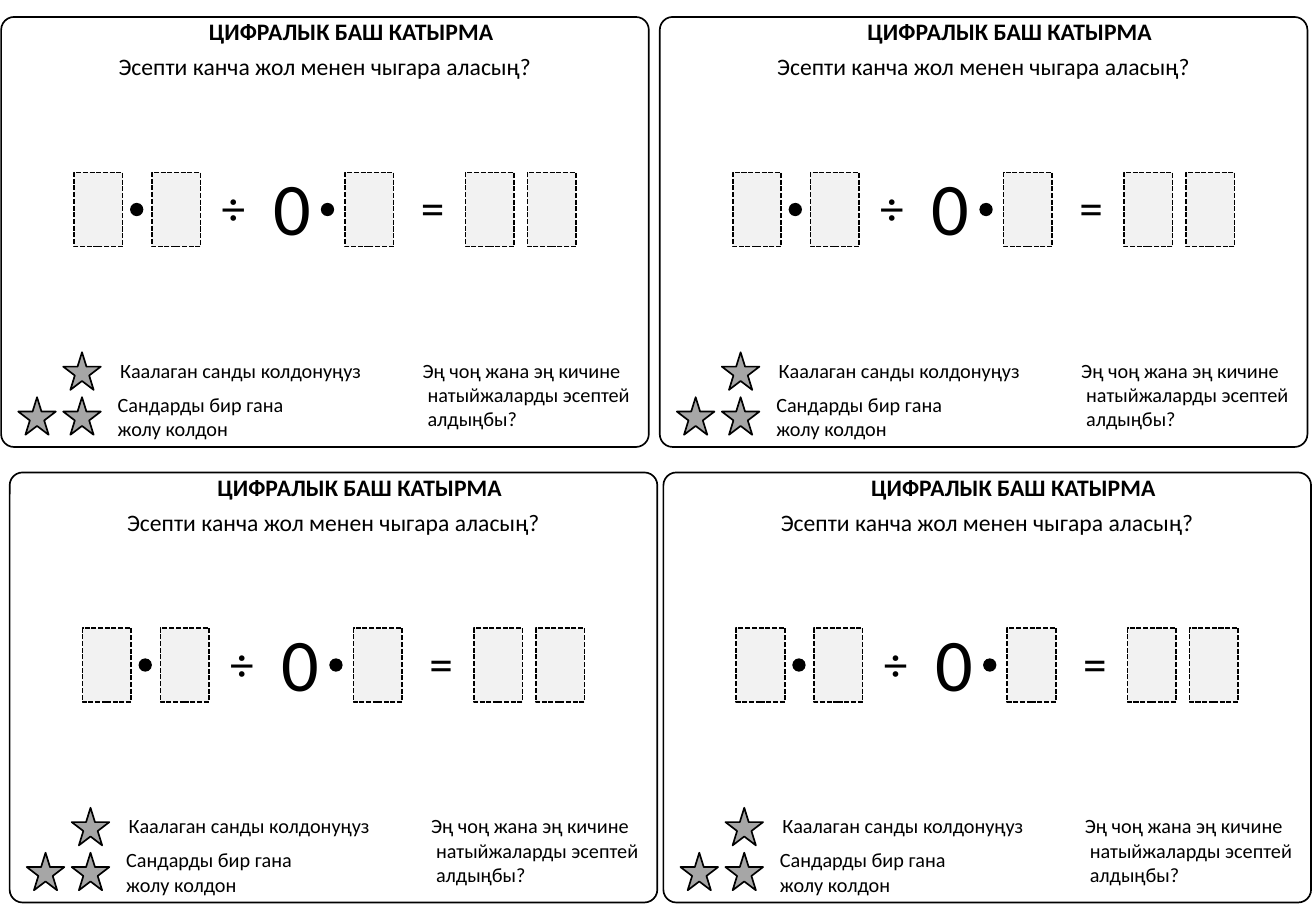
import pptx
import pptx.util
import pptx.dml.color
import pptx.enum.dml
import pptx.enum.shapes
import pptx.enum.text

SHAPES = pptx.enum.shapes.MSO_SHAPE
ALIGN = pptx.enum.text.PP_ALIGN
COLORS = {"ink": "000000", "star": "A6A6A6", "digit": "F2F2F2"}

# The slide is a fine grid; every length below counts its columns or rows
COLUMNS, ROWS = 1083, 750
deck = pptx.Presentation()
deck.slide_width = pptx.util.Inches(10.83)
deck.slide_height = pptx.util.Inches(7.5)
COLUMN = deck.slide_width / COLUMNS
ROW = deck.slide_height / ROWS

CARD_SIZE = (533, 354)
CARD_CORNERS = [(1, 14), (543, 14), (8, 389), (546, 389)]
STAR_SIZE, DOT_SIZE = 31, 11
DIGIT_TOP, DIGIT_SIZE = 128, (40, 61)
STAR_SPOTS = [(51, 276), (51, 313), (14, 313)]
DIGIT_LEFTS = [60, 124, 283, 382, 433]
DOT_LEFTS = [106, 263]
SIGNS = {"÷": 171, "=": 335}


def color(name):
    return pptx.dml.color.RGBColor.from_string(COLORS[name])


def place(card, left, top, width, height):
    """Turn grid counts inside a card into slide lengths."""
    return (round((card[0] + left) * COLUMN), round((card[1] + top) * ROW),
            round(width * COLUMN), round(height * ROW))


def add_figure(page, kind, area, fill=None, outlined=True, dash=None):
    figure = page.shapes.add_shape(kind, *area)
    figure.shadow.inherit = False
    if fill:
        figure.fill.solid()
        figure.fill.fore_color.rgb = color(fill)
    else:
        figure.fill.background()
    if outlined:
        figure.line.color.rgb = color("ink")
        figure.line.width = pptx.util.Pt(1)
        if dash:
            figure.line.dash_style = dash
    else:
        figure.line.fill.background()
    return figure


def write(box, lines, size, bold=False, align=ALIGN.LEFT, inset=0.05, hanging=0):
    frame = box.text_frame
    frame_format = {
        "word_wrap": False,
        "auto_size": pptx.enum.text.MSO_AUTO_SIZE.SHAPE_TO_FIT_TEXT,
        "vertical_anchor": pptx.enum.text.MSO_ANCHOR.TOP,
        "margin_left": pptx.util.Inches(0.1),
        "margin_right": pptx.util.Inches(0.1),
        "margin_top": pptx.util.Inches(inset),
        "margin_bottom": pptx.util.Inches(inset),
    }
    for name, value in frame_format.items():
        setattr(frame, name, value)
    font_format = {"name": "Calibri", "size": pptx.util.Pt(size), "bold": bold}
    for index, line in enumerate(lines):
        para = frame.add_paragraph() if index else frame.paragraphs[0]
        para.alignment = align
        if index and hanging:
            indent = para._p.get_or_add_pPr()
            indent.set("marL", str(pptx.util.Inches(hanging)))
            indent.set("indent", "0")
        span = para.add_run()
        span.text = line
        for name, value in font_format.items():
            setattr(span.font, name, value)
        span.font.color.rgb = color("ink")


def add_text(page, area, lines, size, **options):
    write(page.shapes.add_textbox(*area), lines, size, **options)


def add_heading(page, card, title):
    # The page title heads the first card; the other cards get a text box
    area = place(card, 160, 0, 256, 24)
    box = title or page.shapes.add_textbox(*area)
    box.left, box.top, box.width, box.height = area
    write(box, ["ЦИФРАЛЫК БАШ КАТЫРМА"], 14, bold=True, align=ALIGN.CENTER, inset=0)
    add_text(page, place(card, 85, 24, 363, 34),
             ["Эсепти канча жол менен чыгара аласың?"], 14, align=ALIGN.CENTER)


def add_equation(page, card):
    for left in DIGIT_LEFTS:
        add_figure(page, SHAPES.RECTANGLE, place(card, left, DIGIT_TOP, *DIGIT_SIZE),
                   "digit", dash=pptx.enum.dml.MSO_LINE.SQUARE_DOT)
    for left in DOT_LEFTS:
        add_figure(page, SHAPES.OVAL, place(card, left, 153, DOT_SIZE, DOT_SIZE),
                   "ink", outlined=False)
    for sign, left in SIGNS.items():
        add_text(page, place(card, left, DIGIT_TOP, 40, 57), [sign], 28,
                 align=ALIGN.CENTER)
    add_text(page, place(card, 214, 114, 51, 84), ["0"], 44)


def add_rules(page, card):
    for left, top in STAR_SPOTS:
        add_figure(page, SHAPES.STAR_5_POINT,
                   place(card, left, top, STAR_SIZE, STAR_SIZE), "star")
    add_text(page, place(card, 88, 276, 221, 30), ["Каалаган санды колдонуңуз"], 12)
    add_text(page, place(card, 86, 304, 162, 50),
             ["Сандарды бир гана", "жолу колдон"], 12)
    add_text(page, place(card, 337, 276, 193, 70),
             ["Эң чоң жана эң кичине", "натыйжаларды эсептей", "алдыңбы?"], 12,
             hanging=0.04)


def add_card(page, card, title=None):
    outline = add_figure(page, SHAPES.ROUNDED_RECTANGLE, place(card, 0, 0, *CARD_SIZE))
    outline.adjustments[0] = 0.03
    add_heading(page, card, title)
    add_equation(page, card)
    add_rules(page, card)


def main():
    page = deck.slides.add_slide(deck.slide_layouts.get_by_name("Title Only"))
    for index, corner in enumerate(CARD_CORNERS):
        add_card(page, corner, None if index else page.shapes.title)
    deck.save("out.pptx")


if __name__ == "__main__":
    main()
